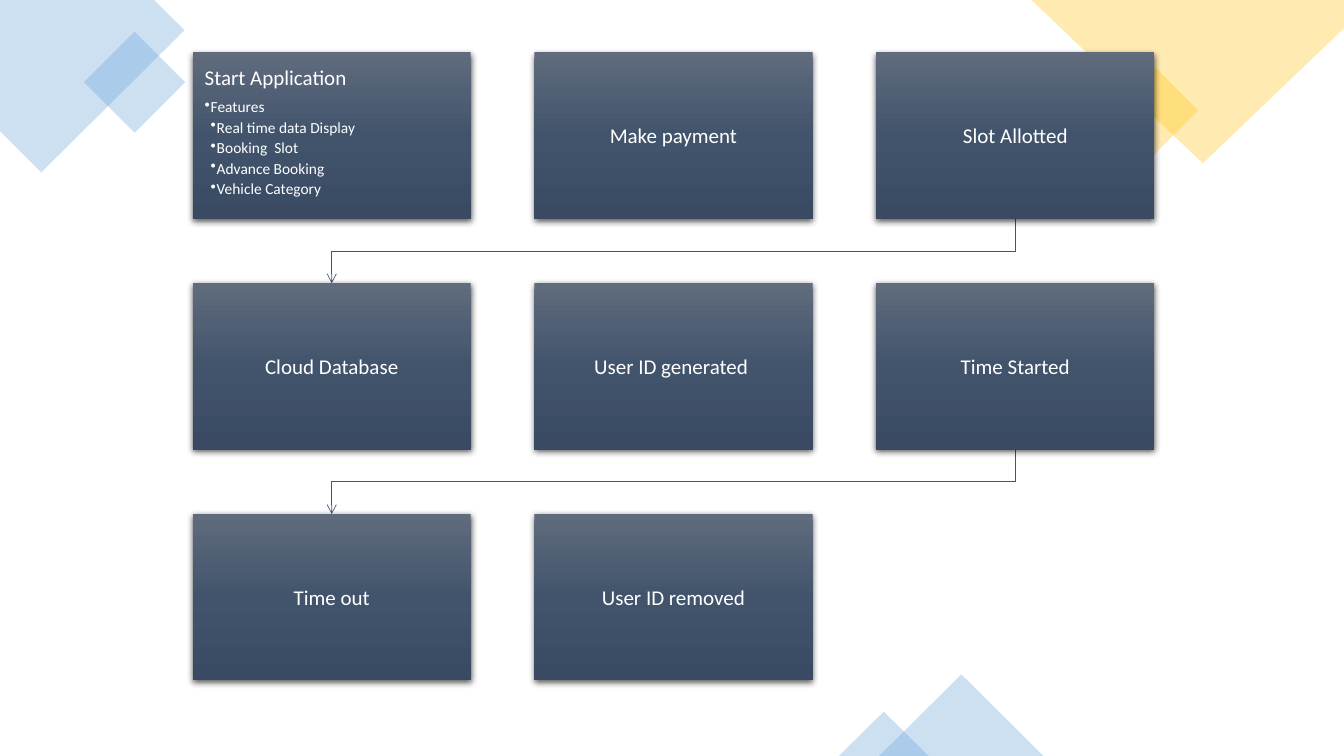
from lxml import etree
from pptx import Presentation
from pptx.dml.color import RGBColor
from pptx.enum.shapes import MSO_SHAPE as SHAPE
from pptx.enum.text import MSO_ANCHOR as ANCHOR, PP_ALIGN as ALIGN
from pptx.oxml.ns import qn
from pptx.util import Inches, Pt

FONT, WHITE, LINE = "Calibri", "FFFFFF", "44546A"
BLUE, YELLOW = "5B9BD5", "FFC000"
GRADIENT = ((0, "606B7D"), (50, "42546C"), (100, "394A62"))


def color(hex_string):
    return RGBColor.from_string(hex_string)


def sub(parent, tag, **attrs):
    el = etree.SubElement(parent, qn(tag))
    for name, value in attrs.items():
        el.set(name, str(value))
    return el


def write(p, text, size=15, after=5.25, align=ALIGN.LEFT, level=0):
    """Fill a paragraph; level 1 and up gets a bullet and an indent."""
    p.alignment, p.space_after = align, Pt(after)
    r = p.add_run()
    r.text = text
    r.font.size, r.font.name, r.font.color.rgb = Pt(size), FONT, color(WHITE)
    if level:
        p.level = level
        pPr = p._p.get_or_add_pPr()
        pPr.set("marL", str(Inches(0.06 * level)))
        pPr.set("indent", str(Inches(-0.06)))
        sub(pPr, "a:buChar", char="•")


class FlowSlide:
    # Grid of step boxes, in inches
    left, top = 1.91, 0.52
    width, height = 2.76, 1.65
    col_pitch, row_pitch = 3.39, 2.29

    def __init__(self, prs):
        self.s = prs.slides.add_slide(prs.slide_layouts[6])

    def cell(self, col, row):
        return self.left + col * self.col_pitch, self.top + row * self.row_pitch

    def tint(self, sp, hex_string):
        sp.shadow.inherit = False
        sp.line.fill.background()
        sp.fill.solid()
        sp.fill.fore_color.rgb = color(hex_string)
        clr = sp._element.spPr.find(qn("a:solidFill"))[0]
        sub(clr, "a:alpha", val=30000)

    def preset(self, kind, x, y, w, h, hex_string, rotation=0):
        sp = self.s.shapes.add_shape(kind, Inches(x), Inches(y), Inches(w), Inches(h))
        sp.rotation = rotation
        self.tint(sp, hex_string)

    def outline(self, points, close=True):
        pts = [(Inches(x), Inches(y)) for x, y in points]
        fb = self.s.shapes.build_freeform(*pts[0])
        fb.add_line_segments(pts[1:], close=close)
        return fb.convert_to_shape()

    def polygon(self, points, hex_string):
        self.tint(self.outline(points), hex_string)

    def row_arrow(self, row):
        """Bent arrow from the last box of a row to the first box of the next."""
        x_end, x_start = (self.cell(c, row)[0] + self.width / 2 for c in (0, 2))
        y_start = self.cell(0, row)[1] + self.height
        y_end = self.cell(0, row + 1)[1]
        y_mid = (y_start + y_end) / 2
        sp = self.outline([(x_start, y_start), (x_start, y_mid),
                           (x_end, y_mid), (x_end, y_end)], close=False)
        sp.shadow.inherit = False
        sp.fill.background()
        sp.line.color.rgb, sp.line.width = color(LINE), Pt(0.5)
        sub(sp.line._get_or_add_ln(), "a:tailEnd", type="arrow")

    def box(self, col, row, title, items=()):
        x, y = self.cell(col, row)
        sp = self.s.shapes.add_shape(SHAPE.RECTANGLE, Inches(x), Inches(y),
                                     Inches(self.width), Inches(self.height))
        sp.line.fill.background()
        sp.shadow.inherit = False
        spPr = sp._element.spPr
        # Vertical gradient
        grad = etree.Element(qn("a:gradFill"), rotWithShape="1")
        stops = sub(grad, "a:gsLst")
        for pos, hex_string in GRADIENT:
            sub(sub(stops, "a:gs", pos=pos * 1000), "a:srgbClr", val=hex_string)
        sub(grad, "a:lin", ang=5400000, scaled=0)
        spPr.find(qn("a:ln")).addprevious(grad)
        # Soft shadow below
        shadow = sub(spPr.find(qn("a:effectLst")), "a:outerShdw", blurRad=Pt(4.5),
                     dist=Pt(1.5), dir=5400000, algn="ctr", rotWithShape=0)
        sub(sub(shadow, "a:srgbClr", val="000000"), "a:alpha", val=63000)
        # Text
        tf = sp.text_frame
        tf.word_wrap = True
        tf.margin_left = tf.margin_right = tf.margin_top = tf.margin_bottom = Inches(0.12)
        tf.vertical_anchor = ANCHOR.TOP if items else ANCHOR.MIDDLE
        write(tf.paragraphs[0], title, align=ALIGN.LEFT if items else ALIGN.CENTER)
        for level, text in items:
            write(tf.add_paragraph(), text, size=11, after=1.5, level=level)


def main():
    prs = Presentation()
    prs.slide_width, prs.slide_height = Inches(13.33), Inches(7.5)
    flow = FlowSlide(prs)

    # Corner decorations
    flow.polygon([(0, 0), (1.53, 0), (1.83, 0.3), (0.41, 1.71), (0, 1.3)], BLUE)
    flow.preset(SHAPE.RECTANGLE, 0.98, 0.46, 0.71, 0.71, BLUE, rotation=315)
    flow.preset(SHAPE.RECTANGLE, 10.98, 0.72, 0.75, 0.75, YELLOW, rotation=315)
    flow.polygon([(10.23, 0), (13.33, 0), (13.33, 0.28), (11.93, 1.62)], YELLOW)
    flow.preset(SHAPE.ISOSCELES_TRIANGLE, 8.72, 6.69, 1.63, 0.81, BLUE)
    flow.preset(SHAPE.ISOSCELES_TRIANGLE, 8.32, 7.06, 0.89, 0.44, BLUE)

    # Arrows between rows
    for row in range(2):
        flow.row_arrow(row)

    # Steps, filled row by row
    features = [(1, "Features"), (2, "Real time data Display"), (2, "Booking  Slot"),
                (2, "Advance Booking"), (2, "Vehicle Category")]
    steps = ["Start Application", "Make payment", "Slot Allotted",
             "Cloud Database", "User ID generated ", "Time Started",
             "Time out", "User ID removed"]
    for i, title in enumerate(steps):
        flow.box(i % 3, i // 3, title, features if i == 0 else ())

    prs.save("out.pptx")


if __name__ == "__main__":
    main()
